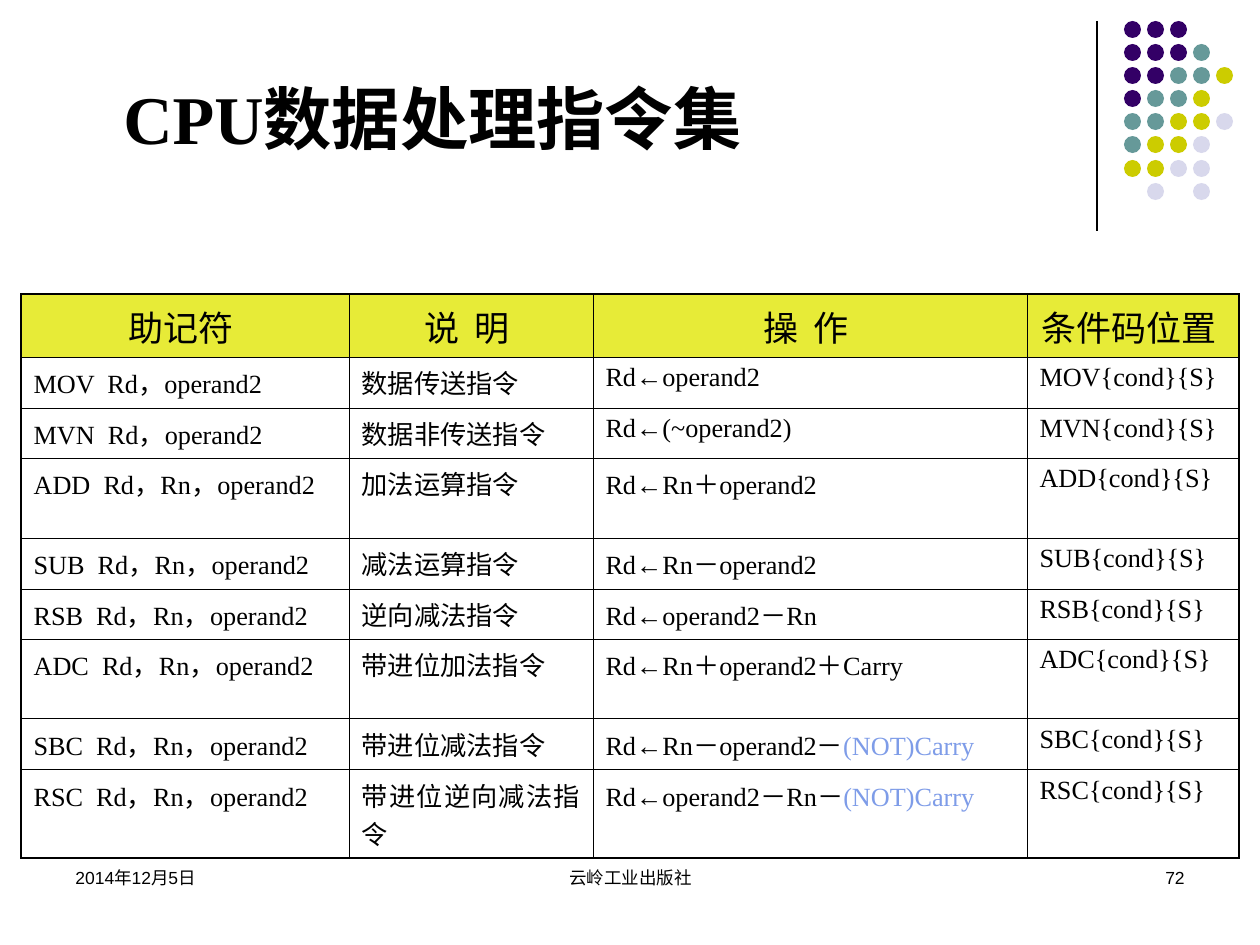
"""Build a slide that tabulates the data processing instructions of a processor."""
from lxml.etree import SubElement
from pptx import Presentation
from pptx.dml.color import RGBColor
from pptx.enum.shapes import MSO_CONNECTOR as LINE, MSO_SHAPE as SHAPE
from pptx.enum.text import MSO_ANCHOR as ANCHOR, PP_ALIGN as ALIGN
from pptx.oxml.ns import qn
from pptx.util import Pt

PX = 914400 / 126
BLACK = RGBColor(0x00, 0x00, 0x00)
YELLOW = RGBColor(0xE7, 0xEB, 0x37)
BLUE = RGBColor(0x7E, 0x9C, 0xE8)
PURPLE = RGBColor(0x33, 0x00, 0x66)
TEAL = RGBColor(0x66, 0x99, 0x99)
OLIVE = RGBColor(0xCC, 0xCC, 0x00)
LILAC = RGBColor(0xD8, 0xD8, 0xEC)
SERIF, SANS = "Times New Roman", "Arial"


def px(*lengths):
    return [round(length * PX) for length in lengths]


def write(paragraph, text, color=BLACK, **formats):
    run = paragraph.add_run()
    run.text = text
    run.font.color.rgb = color
    for key, value in formats.items():
        setattr(run.font, key, value)


deck = Presentation()
deck.slide_width, deck.slide_height = px(1260, 945)
slide = deck.slides.add_slide(deck.slide_layouts[6])
shapes = slide.shapes

divider = shapes.add_connector(LINE.STRAIGHT, *px(1097, 21, 1097, 231))
divider.line.color.rgb = BLACK
divider.line.width = Pt(0.75)
SubElement(divider._element.spPr, qn("a:effectLst"))

dot_colors = {"P": PURPLE, "T": TEAL, "O": OLIVE, "L": LILAC}
dot_rows = ["PPP", "PPPT", "PPTTO", "PTTO", "TTOOL", "TOOL", "OOLL", " L L"]
for row, letters in enumerate(dot_rows):
    for col, letter in enumerate(letters):
        if letter in dot_colors:
            left, top = 1124 + col * 139 // 6, 21 + row * 139 // 6
            dot = shapes.add_shape(SHAPE.OVAL, *px(left, top, 17, 17))
            dot.fill.solid()
            dot.fill.fore_color.rgb = dot_colors[letter]
            dot.line.fill.background()
            dot.shadow.inherit = False

captions = [
    ("CPU数据处理指令集", (111, 29, 992, 135), ALIGN.LEFT, ANCHOR.BOTTOM,
     {"size": Pt(39), "name": SERIF, "bold": True}),
    ("云岭工业出版社", (431, 861, 399, 63), ALIGN.CENTER, ANCHOR.TOP,
     {"size": Pt(10), "name": SANS}),
    ("72", (903, 861, 294, 63), ALIGN.RIGHT, ANCHOR.TOP,
     {"size": Pt(10), "name": SANS}),
    ("2014年12月5日", (63, 861, 294, 63), ALIGN.LEFT, ANCHOR.TOP,
     {"size": Pt(10), "name": SANS}),
]
for text, box, align, anchor, formats in captions:
    frame = shapes.add_textbox(*px(*box)).text_frame
    frame.word_wrap = True
    frame.vertical_anchor = anchor
    frame.paragraphs[0].alignment = align
    write(frame.paragraphs[0], text, **formats)

NOT_CARRY = "(NOT)Carry"
instructions = [
    ("助记符 ", "说  明 ", "操  作 ", "条件码位置 "),
    ("MOV  Rd，operand2", "数据传送指令", "Rd←operand2", "MOV{cond}{S}"),
    ("MVN  Rd，operand2", "数据非传送指令", "Rd←(~operand2)", "MVN{cond}{S}"),
    ("ADD  Rd，Rn，operand2", "加法运算指令", "Rd←Rn＋operand2", "ADD{cond}{S}"),
    ("SUB  Rd，Rn，operand2", "减法运算指令", "Rd←Rn－operand2", "SUB{cond}{S}"),
    ("RSB  Rd，Rn，operand2", "逆向减法指令", "Rd←operand2－Rn", "RSB{cond}{S}"),
    ("ADC  Rd，Rn，operand2", "带进位加法指令", "Rd←Rn＋operand2＋Carry", "ADC{cond}{S}"),
    ("SBC  Rd，Rn，operand2", "带进位减法指令", "Rd←Rn－operand2－" + NOT_CARRY, "SBC{cond}{S}"),
    ("RSC  Rd，Rn，operand2", "带进位逆向减法指令", "Rd←operand2－Rn－" + NOT_CARRY, "RSC{cond}{S}"),
]
col_widths = px(328, 244, 434, 212)
row_heights = px(63, 51, 50, 80, 51, 50, 80, 51, 88)
last_row, last_col = len(row_heights) - 1, len(col_widths) - 1

table = shapes.add_table(len(row_heights), len(col_widths), *px(21, 294, 1218, 564)).table
table.horz_banding = False
table.first_row = False
for column, width in zip(table.columns, col_widths):
    column.width = width
for line, height in zip(table.rows, row_heights):
    line.height = height

for row, texts in enumerate(instructions):
    header = row == 0
    for col, text in enumerate(texts):
        cell = table.cell(row, col)
        paragraph = cell.text_frame.paragraphs[0]
        paragraph.alignment = ALIGN.CENTER if header else ALIGN.JUSTIFY
        paragraph.space_before = Pt(5 if header else 3.7)
        formats = {"size": Pt(20 if header else 15), "name": SERIF}
        plain, carry, _ = text.partition(NOT_CARRY)
        write(paragraph, plain, **formats)
        if carry:
            write(paragraph, carry, BLUE, **formats)

        outer_sides = {"L": col == 0, "R": col == last_col, "T": header, "B": row == last_row}
        for side, outer in outer_sides.items():
            border = SubElement(cell._tc.get_or_add_tcPr(), qn("a:ln" + side),
                                w=str(Pt(1.08 if outer else 0.45)))
            SubElement(SubElement(border, qn("a:solidFill")), qn("a:srgbClr"), val=str(BLACK))
        if header:
            cell.fill.solid()
            cell.fill.fore_color.rgb = YELLOW
        else:
            cell.fill.background()

deck.save("out.pptx")
